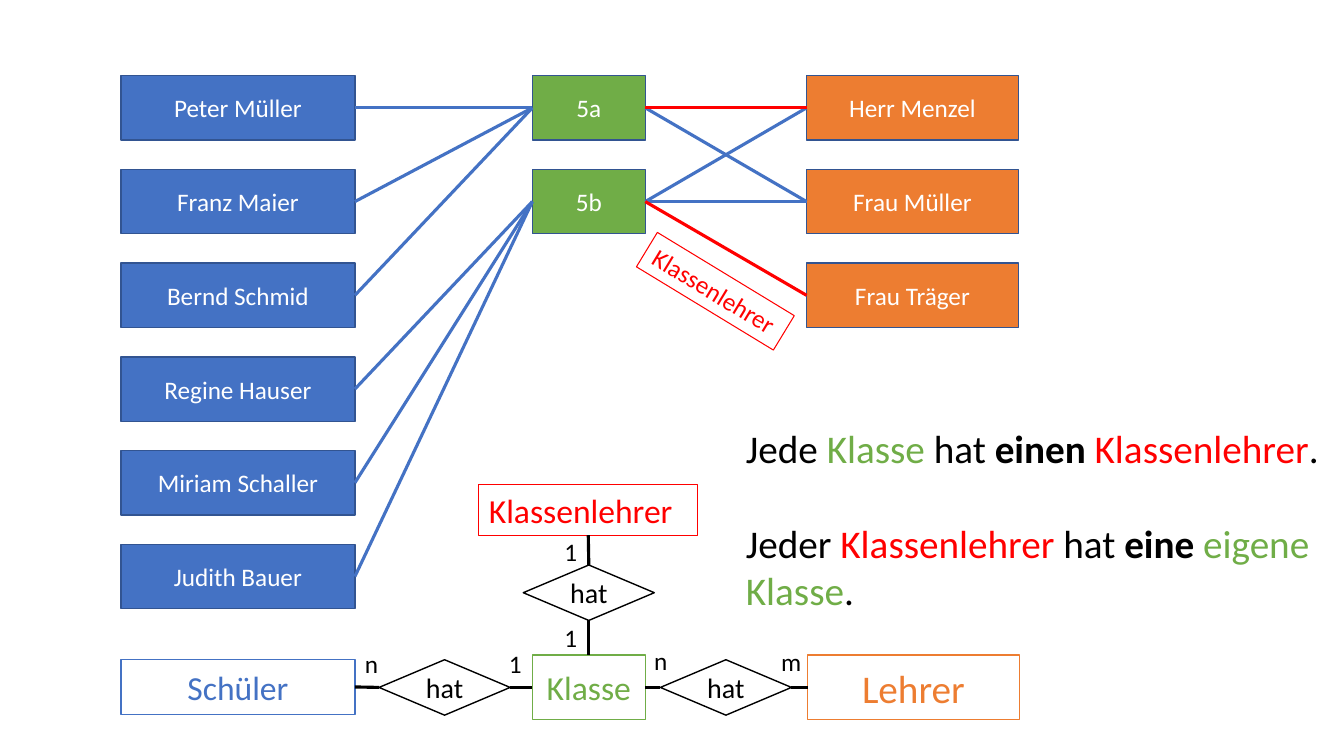
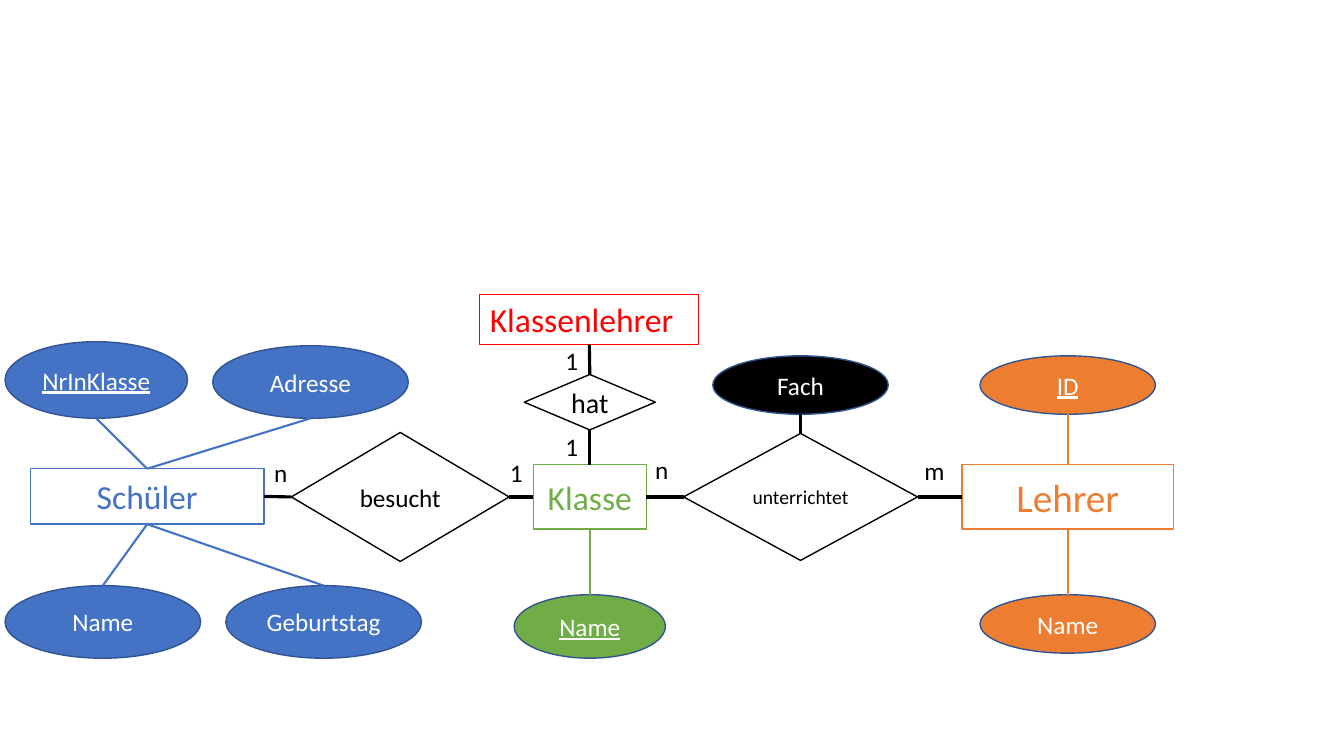
import pptx
import pptx.util
import pptx.dml.color
import pptx.enum.shapes
import pptx.enum.text
import pptx.oxml.ns
import lxml.etree

Inches = pptx.util.Inches
Pt = pptx.util.Pt
SHAPE = pptx.enum.shapes.MSO_SHAPE
ALIGN = pptx.enum.text.PP_ALIGN

FONT = "Calibri"
COLORS = {
    "pupil": "4472C4",
    "class": "70AD47",
    "teacher": "ED7D31",
    "head": "FF0000",
    "outline": "325491",
    "black": "000000",
    "white": "FFFFFF",
}
TOP, LEFT, BOTTOM, RIGHT = range(4)
BOX_H = 0.64
PUPIL_W, CLASS_W, TEACHER_W = 2.32, 1.12, 2.1


def rgb(name):
    return pptx.dml.color.RGBColor.from_string(COLORS[name])


def style_run(r, size, color, bold=False, underline=False):
    r.font.name = FONT
    r.font.size = Pt(size)
    r.font.color.rgb = rgb(color)
    r.font.bold = bold
    r.font.underline = underline


def add_node(s, kind, box, text, size, color, line, fill=None,
             align=ALIGN.CENTER, underline=False, width=1):
    sp = s.shapes.add_shape(kind, *map(Inches, box))
    sp.shadow.inherit = False
    if fill:
        sp.fill.solid()
        sp.fill.fore_color.rgb = rgb(fill)
    else:
        sp.fill.background()
    sp.line.color.rgb = rgb(line)
    sp.line.width = Pt(width)
    tf = sp.text_frame
    tf.text = text
    tf.word_wrap = True
    tf.vertical_anchor = pptx.enum.text.MSO_ANCHOR.MIDDLE
    p = tf.paragraphs[0]
    p.alignment = align
    style_run(p.runs[0], size, color, underline=underline)
    return sp


def add_card(s, x, y, w, text, fill):
    return add_node(s, SHAPE.RECTANGLE, (x, y, w, BOX_H), text, 18,
                    "white", "outline", fill)


def add_entity(s, box, text, size, color):
    return add_node(s, SHAPE.RECTANGLE, box, text, size, color, color, "white")


def add_relation(s, x, center_y, w, h, text, size):
    return add_node(s, SHAPE.DIAMOND, (x, center_y - h / 2, w, h), text, size,
                    "black", "black", "white")


def add_head_teacher(s, box, size):
    return add_node(s, SHAPE.RECTANGLE, box, "Klassenlehrer", size, "head",
                    "head", align=ALIGN.LEFT, width=0.75)


def add_label(s, x, y, text):
    tb = s.shapes.add_textbox(Inches(x), Inches(y), Inches(0.34), Inches(0.4))
    tf = tb.text_frame
    tf.word_wrap = False
    tf.text = text
    style_run(tf.paragraphs[0].runs[0], 18, "black")


def site(sp, side):
    center_x, center_y = sp.left + sp.width // 2, sp.top + sp.height // 2
    return {
        TOP: (center_x, sp.top),
        LEFT: (sp.left, center_y),
        BOTTOM: (center_x, sp.top + sp.height),
        RIGHT: (sp.left + sp.width, center_y),
    }[side]


def add_link(s, start, start_side, end, end_side, color="black", width=2.25):
    cx = s.shapes.add_connector(
        pptx.enum.shapes.MSO_CONNECTOR.STRAIGHT,
        *site(start, start_side), *site(end, end_side))
    cx.begin_connect(start, start_side)
    if end.auto_shape_type != SHAPE.OVAL:
        cx.end_connect(end, end_side)
    cx.line.color.rgb = rgb(color)
    cx.line.width = Pt(width)
    lxml.etree.SubElement(cx.element.spPr, pptx.oxml.ns.qn("a:effectLst"))


def add_attribute(s, owner, side, box, text, color, key=False):
    sp = add_node(s, SHAPE.OVAL, box, text, 18, "white", "outline", color,
                  underline=key)
    add_link(s, owner, side, sp, BOTTOM if side == TOP else TOP, color, 1.5)


def add_model(s, x, y, pupil_x, teacher_x, m_x, visits, teaches):
    mid = y + BOX_H / 2
    pupil = add_entity(s, (pupil_x, mid - 0.28, PUPIL_W, 0.55),
                       "Schüler", 24, "pupil")
    group = add_entity(s, (x, y, CLASS_W, BOX_H), "Klasse", 24, "class")
    teacher = add_entity(s, (teacher_x, y, TEACHER_W, BOX_H),
                         "Lehrer", 28, "teacher")
    head = add_head_teacher(s, (x - 0.53, y - 1.69, 2.17, 0.5), 24)
    leads = add_relation(s, x - 0.09, y - 0.62, 1.3, 0.55, "hat", 20)
    visit, teach = [add_relation(s, left, mid, w, h, text, size)
                    for left, w, h, text, size in (visits, teaches)]
    for start, start_side, end, end_side in (
            (pupil, RIGHT, visit, LEFT), (visit, RIGHT, group, LEFT),
            (group, RIGHT, teach, LEFT), (teach, RIGHT, teacher, LEFT),
            (head, BOTTOM, leads, TOP), (leads, BOTTOM, group, TOP)):
        add_link(s, start, start_side, end, end_side)
    for label_x, dy, text in (
            (pupil_x + PUPIL_W, -0.12, "n"), (x - 0.33, -0.12, "1"),
            (x + 1.11, -0.15, "n"), (m_x, -0.14, "m"),
            (x + 0.22, -0.38, "1"), (x + 0.22, -1.23, "1")):
        add_label(s, label_x, y + dy, text)
    return pupil, group, teacher, teach


def add_statements(s, box, statements):
    tf = s.shapes.add_textbox(*map(Inches, box)).text_frame
    tf.word_wrap = True
    for i, parts in enumerate(statements):
        p = tf.add_paragraph() if i else tf.paragraphs[0]
        if i:
            p.space_before = Pt(34)
        for text, color, bold in parts:
            r = p.add_run()
            r.text = text
            style_run(r, 28, color, bold)


def build_example(s):
    def column(x, w, names, color):
        return [add_card(s, x, 0.75 + i * 0.93, w, name, color)
                for i, name in enumerate(names)]

    pupils = column(1.2, PUPIL_W, (
        "Peter Müller", "Franz Maier", "Bernd Schmid", "Regine Hauser",
        "Miriam Schaller", "Judith Bauer"), "pupil")
    classes = column(5.28, CLASS_W, ("5a", "5b"), "class")
    teachers = column(8, TEACHER_W, (
        "Herr Menzel", "Frau Müller", "Frau Träger"), "teacher")
    for i, pupil in enumerate(pupils):
        add_link(s, pupil, RIGHT, classes[i // 3], LEFT, "pupil")
    for group, teacher, color in (
            (0, 1, "pupil"), (1, 0, "pupil"), (1, 1, "pupil"),
            (0, 0, "head"), (1, 2, "head")):
        add_link(s, classes[group], RIGHT, teachers[teacher], LEFT, color)
    add_head_teacher(s, (6.3, 2.69, 1.59, 0.4), 18).rotation = 31.3

    add_model(s, 5.28, 6.5, 1.2, 8.01, 7.65,
              (3.76, 1.3, 0.55, "hat", 20), (6.55, 1.3, 0.55, "hat", 20))
    add_statements(s, (7.3, 4.16, 6, 1.99), (
        (("Jede ", "black", False), ("Klasse", "class", False),
         (" hat ", "black", False), ("einen ", "black", True),
         ("Klassenlehrer", "head", False), (".", "black", False)),
        (("Jeder ", "black", False), ("Klassenlehrer", "head", False),
         (" hat ", "black", False), ("eine ", "black", True),
         ("eigene Klasse", "class", False), (".", "black", False))))


def build_attributes(s):
    pupil, group, teacher, teach = add_model(
        s, 5.29, 4.61, 0.3, 9.54, 9.07,
        (2.89, 2.16, 1.28, "besucht", 18),
        (6.78, 2.32, 1.26, "unterrichtet", 14))
    for owner, side, box, text, color, key in (
            (pupil, TOP, (0.05, 3.39, 1.81, 0.76), "NrInKlasse", "pupil", True),
            (pupil, TOP, (2.11, 3.43, 1.94, 0.72), "Adresse", "pupil", False),
            (pupil, BOTTOM, (0.05, 5.81, 1.94, 0.72), "Name", "pupil", False),
            (pupil, BOTTOM, (2.24, 5.81, 1.94, 0.72), "Geburtstag", "pupil", False),
            (group, BOTTOM, (5.1, 5.9, 1.5, 0.63), "Name", "class", True),
            (teach, TOP, (7.07, 3.53, 1.74, 0.58), "Fach", "black", False),
            (teacher, TOP, (9.72, 3.53, 1.74, 0.58), "ID", "teacher", True),
            (teacher, BOTTOM, (9.72, 5.9, 1.74, 0.58), "Name", "teacher", False)):
        add_attribute(s, owner, side, box, text, color, key)


def main():
    prs = pptx.Presentation()
    prs.slide_width = Inches(13.33)
    prs.slide_height = Inches(7.5)
    for build in (build_example, build_attributes):
        build(prs.slides.add_slide(prs.slide_layouts[6]))
    prs.save("out.pptx")


if __name__ == "__main__":
    main()
